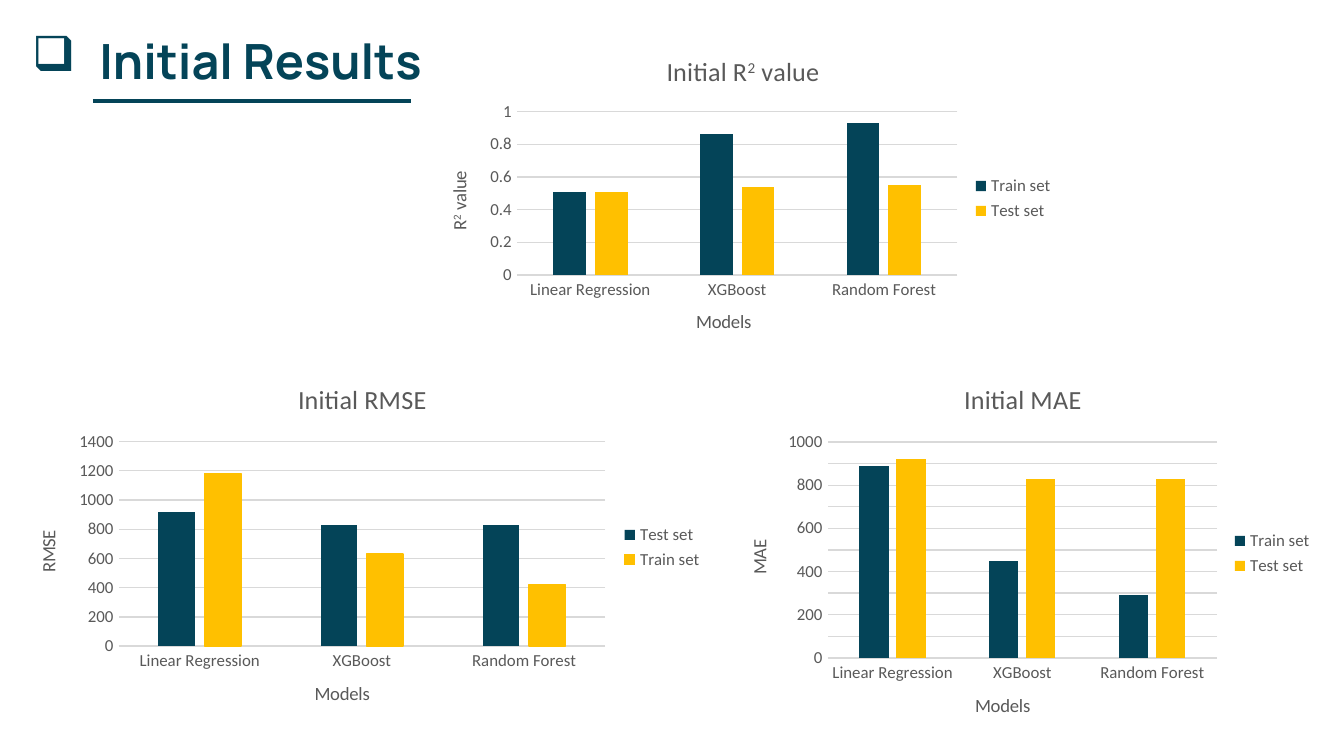
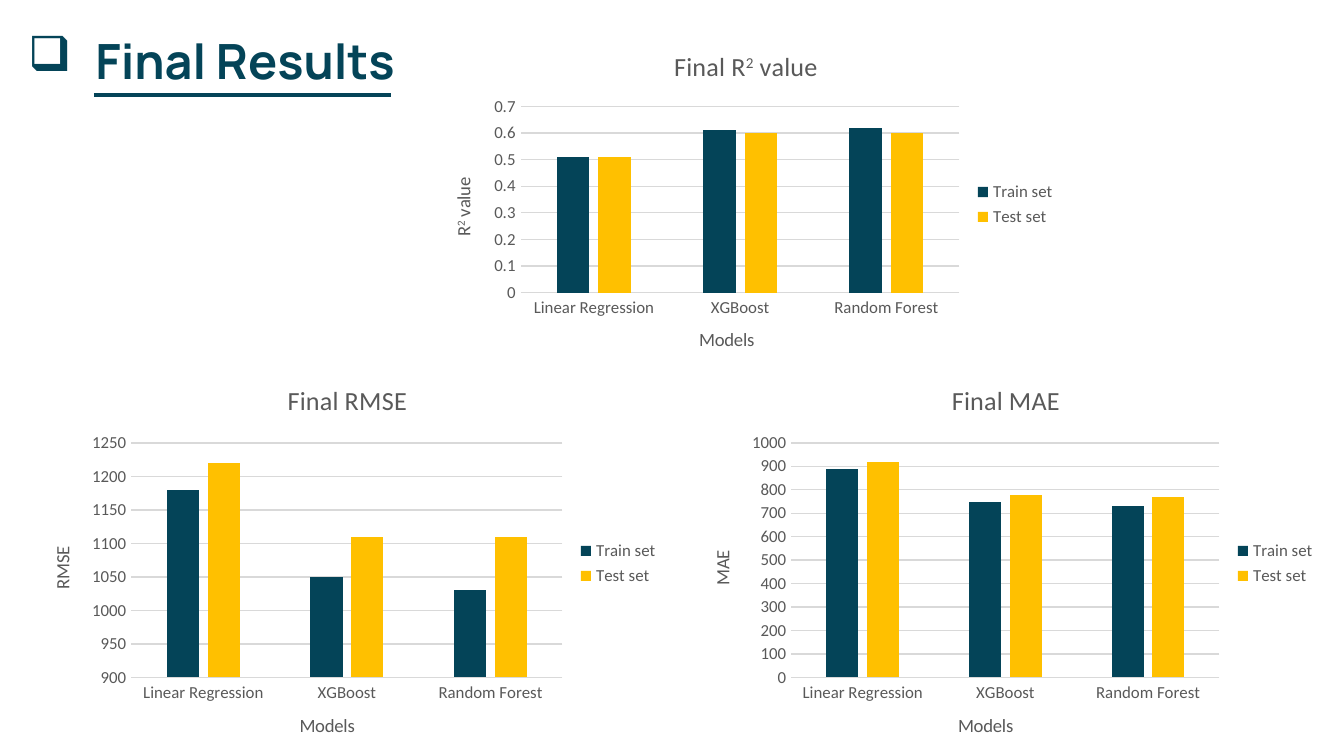
from lxml import etree
from pptx import Presentation
from pptx.chart.data import CategoryChartData as ChartData
from pptx.dml.color import RGBColor as RGB
from pptx.enum.chart import XL_CHART_TYPE as Kind, XL_LEGEND_POSITION as Side, XL_TICK_MARK as Tick
from pptx.enum.shapes import MSO_CONNECTOR as Link
from pptx.enum.text import MSO_AUTO_SIZE as Fit
from pptx.oxml.ns import qn
from pptx.util import Emu, Inches, Pt

NAVY = RGB(0x04, 0x44, 0x58)
GOLD = RGB(0xFF, 0xC0, 0x00)
GREY = RGB(0x59, 0x59, 0x59)
PALE = RGB(0xD9, 0xD9, 0xD9)
BLACK = RGB(0, 0, 0)
WHITE = RGB(0xFF, 0xFF, 0xFF)

MODELS = ["Linear Regression", "XGBoost", "Random Forest"]
TRAIN, TEST = "Train set", "Test set"

# Boxes are (left, top, width, height); rules are (left, right, y), all in px.
SLIDES = [
    {
        "stage": "Initial", "box": (19, 24, 418, 73), "rule": (93, 411, 101),
        "charts": [
            ("R2 value", (419, 36, 648, 325),
             [(TRAIN, (0.51, 0.86, 0.93)), (TEST, (0.51, 0.54, 0.55))]),
            ("MAE", (720, 362, 606, 383),
             [(TRAIN, (890, 450, 290)), (TEST, (920, 830, 830))]),
            ("RMSE", (9, 362, 707, 371),
             [(TEST, (920, 830, 830)), (TRAIN, (1180, 630, 420))]),
        ],
    },
    {
        "stage": "Final", "box": (15, 24, 415, 73), "rule": (94, 391, 95),
        "charts": [
            ("R2 value", (423, 30, 646, 349),
             [(TRAIN, (0.51, 0.61, 0.62)), (TEST, (0.51, 0.6, 0.6))]),
            ("RMSE", (23, 362, 649, 403),
             [(TRAIN, (1180, 1050, 1030)), (TEST, (1220, 1110, 1110))]),
            ("MAE", (683, 362, 646, 403),
             [(TRAIN, (890, 750, 730)), (TEST, (920, 780, 770))]),
        ],
    },
]


def px(*nums):
    return [Emu(round(n * 914400 / 134.4)) for n in nums]


def style(font, size, color, name="Calibri", bold=False):
    look = {"size": Pt(size), "name": name, "bold": bold}
    for key, value in look.items():
        setattr(font, key, value)
    font.color.rgb = color


def stroke(line, color, width=0.75):
    line.color.rgb = color
    line.width = Pt(width)


def label(frame, text, size):
    """Write a chart label, raising the 2 of R2."""
    head, two, tail = text.partition("2")
    para = frame.paragraphs[0]
    for part in filter(None, (head, two, tail)):
        run = para.add_run()
        run.text = part
        style(run.font, size, GREY)
        if part == "2":
            run.font._element.set("baseline", "30000")


def add_head(slide, text, box, rule):
    """Add the bulleted heading and the rule under it."""
    frame = slide.shapes.add_textbox(*px(*box)).text_frame
    frame.word_wrap = True
    frame.auto_size = Fit.SHAPE_TO_FIT_TEXT
    para = frame.paragraphs[0]
    run = para.add_run()
    run.text = text
    style(run.font, 26, NAVY, "Manrope", True)
    props = para._p.get_or_add_pPr()
    props.set("marL", str(Inches(0.5)))
    props.set("indent", str(-Inches(0.5)))
    etree.SubElement(props, qn("a:buChar")).set("char", "❑")

    left, right, y = rule
    line = slide.shapes.add_connector(Link.STRAIGHT, *px(left, y, right, y))
    stroke(line.line, NAVY, 2.25)
    etree.SubElement(line._element.spPr, qn("a:effectLst"))


def set_axis(axis, text):
    axis.major_tick_mark = axis.minor_tick_mark = Tick.NONE
    style(axis.tick_labels.font, 9, GREY)
    label(axis.axis_title.text_frame, text, 10)


def add_bars(slide, stage, metric, box, rows):
    data = ChartData()
    data.categories = MODELS
    for name, values in rows:
        data.add_series(name, values)
    chart = slide.shapes.add_chart(Kind.COLUMN_CLUSTERED, *px(*box), data).chart
    style(chart.font, 10, BLACK)
    label(chart.chart_title.text_frame, f"{stage} {metric}", 14)

    chart.has_legend = True
    chart.legend.position = Side.RIGHT
    chart.legend.include_in_layout = False
    style(chart.legend.font, 9, GREY)

    plot = chart.plots[0]
    plot.gap_width, plot.overlap = 219, -27
    plot.vary_by_categories = False
    for row, color in zip(plot.series, (NAVY, GOLD)):
        row.invert_if_negative = False
        row.format.fill.solid()
        row.format.fill.fore_color.rgb = color
    if rows[0][0] == TEST:
        stroke(plot.series[1].format.line, GOLD)

    cats, vals = chart.category_axis, chart.value_axis
    set_axis(cats, "Models")
    set_axis(vals, metric)
    stroke(cats.format.line, PALE)
    vals.format.line.fill.background()
    vals.has_major_gridlines = True
    stroke(vals.major_gridlines.format.line, PALE)
    body = vals.axis_title.text_frame._txBody.find(qn("a:bodyPr"))
    body.set("rot", "-5400000")
    body.set("vert", "horz")


def main():
    deck = Presentation()
    deck.slide_width, deck.slide_height = px(1344, 756)
    for page in SLIDES:
        slide = deck.slides.add_slide(deck.slide_layouts[6])
        slide.background.fill.solid()
        slide.background.fill.fore_color.rgb = WHITE
        add_head(slide, f"{page['stage']} Results", page["box"], page["rule"])
        for metric, box, rows in page["charts"]:
            add_bars(slide, page["stage"], metric, box, rows)
    deck.save("out.pptx")


if __name__ == "__main__":
    main()
